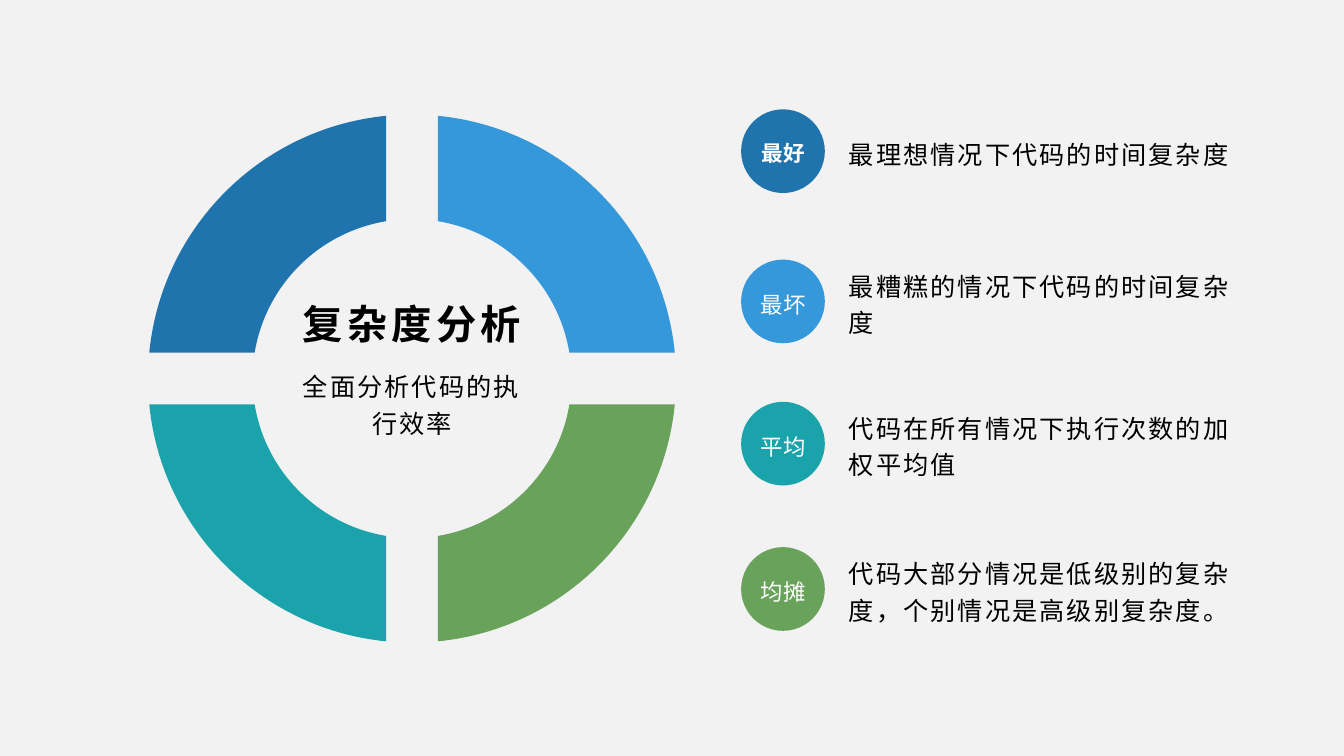
from math import asin, cos, pi, sin, tan

from pptx import Presentation
from pptx.dml.color import RGBColor as Rgb
from pptx.enum.shapes import MSO_SHAPE as Kind
from pptx.enum.text import MSO_ANCHOR as Anchor, MSO_AUTO_SIZE as Auto, PP_ALIGN as Align
from pptx.oxml.ns import qn
from pptx.util import Pt

HUES = {"back": "F2F2F2", "text": "000000", "label": "FFFFFF",
        "best": "1F74AD", "worst": "3498DB", "mean": "1AA3AA", "spread": "69A35B"}
BODY = {"size": Pt(18), "bold": False}
HEAD = {"size": Pt(28.8), "bold": True}
BOLD = {"size": Pt(15.4), "bold": True}
PLAIN = {"size": Pt(16), "bold": False}
CASES = [
    ("best", "最好", "最理想情况下代码的时间复杂度", 78.1, BOLD, 1.1),
    ("worst", "最坏", "最糟糕的情况下代码的时间复杂度", 185.4, PLAIN, 1.2),
    ("mean", "平均", "代码在所有情况下执行次数的加权平均值", 287, PLAIN, 1.2),
    ("spread", "均摊", "代码大部分情况是低级别的复杂度，个别情况是高级别复杂度。", 390.8, PLAIN, 1.2),
]


def paint(shape, hue):
    """Fill a shape with one flat colour."""
    shape.shadow.inherit = False
    shape.fill.solid()
    shape.fill.fore_color.rgb = Rgb.from_string(HUES[hue])
    shape.line.fill.background()


def write(shape, text, look, hue="text", align=Align.CENTER, anchor=Anchor.MIDDLE,
          gap=0, lead=1.2):
    """Put one formatted paragraph in a shape."""
    frame = shape.text_frame
    for name, value in {"word_wrap": True, "auto_size": Auto.NONE,
                        "vertical_anchor": anchor}.items():
        setattr(frame, name, value)
    para = frame.paragraphs[0]
    para.alignment, para.line_spacing = align, lead
    run = para.add_run()
    run.text = text
    for name, value in {"name": "Arial", **look}.items():
        setattr(run.font, name, value)
    run.font.color.rgb = Rgb.from_string(HUES[hue])
    if gap:
        run._r.get_or_add_rPr().set("spc", str(int(gap * 100)))


def arc(mid, size, half, turn):
    """Give the ends and handles of a quarter arc trimmed by half a gap."""
    trim = asin(half / size)
    first, last = turn + trim, turn + pi / 2 - trim
    pull = 4 / 3 * tan((last - first) / 4)
    spots = [(first, 0), (first, pull), (last, -pull), (last, 0)]
    return [(Pt(mid[0] + size * (cos(a) - k * sin(a))),
             Pt(mid[1] + size * (sin(a) + k * cos(a)))) for a, k in spots]


def bend(shape):
    """Turn the two runs of handle points into curves."""
    lines = shape._element.xpath(".//a:lnTo")
    for trio in (lines[:3], lines[4:]):
        curve = trio[0]
        for line in trio[1:]:
            curve.append(line[0])
            line.getparent().remove(line)
        curve.tag = qn("a:cubicBezTo")


def ring(slide, left, top, side):
    """Draw the four-part ring with the title and subtitle inside."""
    mid = (left + side / 2, top + side / 2)
    for i, hue in enumerate(("spread", "mean", "best", "worst")):
        turn = i * pi / 2
        dots = arc(mid, side / 2, 18.5, turn) + arc(mid, side * 0.302, 18.5, turn)[::-1]
        pen = slide.shapes.build_freeform(*dots[0], scale=1.0)
        pen.add_line_segments(dots[1:], close=True)
        part = pen.convert_to_shape()
        bend(part)
        paint(part, hue)
    wide = 182
    edge = mid[0] - wide / 2
    title = slide.shapes.title
    for name, value in {"left": edge, "top": mid[1] - 67.4,
                        "width": wide, "height": 49.7}.items():
        setattr(title, name, Pt(value))
    write(title, "复杂度分析", HEAD, gap=3)
    note = slide.shapes.add_textbox(Pt(edge), Pt(mid[1] - 12.8), Pt(wide), Pt(81.4))
    write(note, "全面分析代码的执行效率", BODY, anchor=Anchor.TOP, gap=1.5)


def case(slide, left, top, hue, label, text, look, lead):
    """Draw a labelled disc with its description beside it."""
    side = 59.8

    def box(shift, wide, tall):
        """Add a text box centred on the disc's height."""
        return slide.shapes.add_textbox(Pt(left + shift), Pt(top + (side - tall) / 2),
                                        Pt(wide), Pt(tall))

    disc = slide.shapes.add_shape(Kind.OVAL, Pt(left), Pt(top), Pt(side), Pt(side))
    paint(disc, hue)
    write(box(4.8, 50.4, 54), label, look, hue="label", lead=lead)
    write(box(69.8, 299.5, 68.4), text, BODY, align=Align.LEFT, gap=1.5)


def main():
    """Build and save the slide."""
    deck = Presentation()
    deck.slide_width, deck.slide_height = Pt(960), Pt(540)
    slide = deck.slides.add_slide(deck.slide_layouts[5])
    back = slide.background.fill
    back.solid()
    back.fore_color.rgb = Rgb.from_string(HUES["back"])
    ring(slide, 105.7, 81.8, 377.2)
    for hue, label, text, top, look, lead in CASES:
        case(slide, 529.4, top, hue, label, text, look, lead)
    deck.save("out.pptx")


if __name__ == "__main__":
    main()
